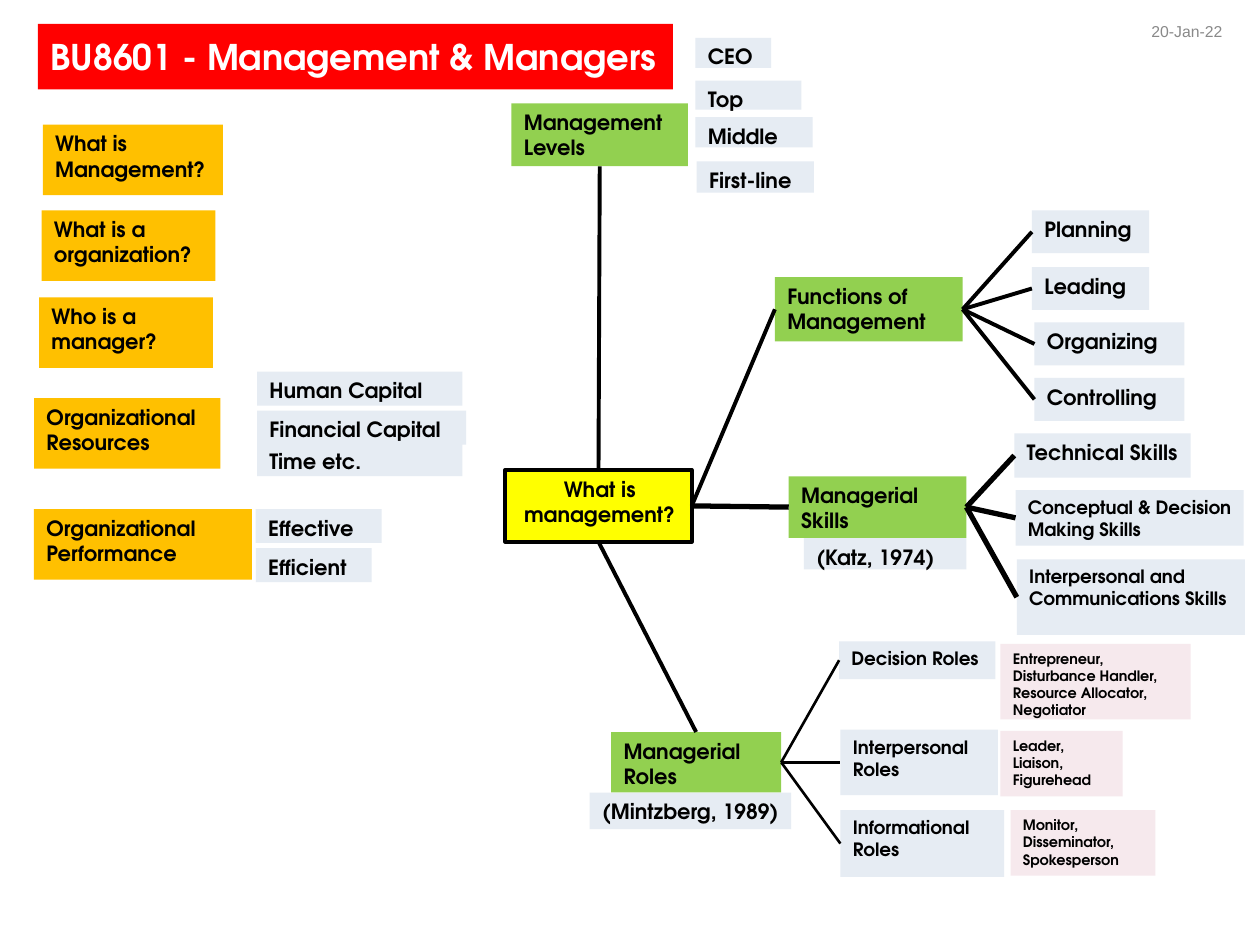
from lxml import etree
from pptx import Presentation
from pptx import util as u
from pptx.dml.color import RGBColor
from pptx.enum import shapes, text
from pptx.oxml.ns import qn

HUES = {"red": "FF0000", "gold": "FFC000", "green": "92D050", "blue": "E6ECF3",
        "pink": "F6E9ED", "yellow": "FFFF00", "black": "000000",
        "white": "FFFFFF", "gray": "898989"}
FACE = "TeX Gyre Adventor"

deck = Presentation()
deck.slide_width, deck.slide_height = u.Inches(10), u.Inches(7.5)
CELL = deck.slide_width / 10  # the grid has 10 columns and 7.5 rows
slide = deck.slides.add_slide(deck.slide_layouts[5])


def write(words, at, shape=None, fill=None, edge=None, size=12, face=FACE,
          hue="black", bold=True, align="LEFT", gap=0, anchor="TOP"):
    """Put formatted words in a shape (a new rectangle by default) at a grid place."""
    place = [u.Emu(round(n * CELL)) for n in at]
    if shape is None:
        shape = slide.shapes.add_shape(shapes.MSO_SHAPE.RECTANGLE, *place)
        shape.shadow.inherit = False
    shape.left, shape.top, shape.width, shape.height = place
    if fill:
        shape.fill.solid()
        shape.fill.fore_color.rgb = RGBColor.from_string(HUES[fill])
    else:
        shape.fill.background()
    if edge:
        shape.line.color.rgb = RGBColor.from_string(HUES["black"])
        shape.line.width = u.Pt(edge)
    else:
        shape.line.fill.background()
    frame = shape.text_frame
    frame.text = words
    frame.word_wrap = True
    frame.auto_size = text.MSO_AUTO_SIZE.NONE
    frame.vertical_anchor = getattr(text.MSO_ANCHOR, anchor)
    frame.margin_left, frame.margin_right = u.Inches(0.1), u.Inches(0.08)
    frame.margin_top = frame.margin_bottom = u.Inches(0.05)
    para = frame.paragraphs[0]
    para.alignment = getattr(text.PP_ALIGN, align)
    para.space_before = para.space_after = u.Pt(gap)
    font = para.runs[0].font
    font.name, font.size, font.bold = face, u.Pt(size), bold
    font.color.rgb = RGBColor.from_string(HUES[hue])
    return shape


def link(start, end, width, sides=(3, 1)):
    """Join two boxes; sides are 0 top, 1 left, 2 bottom, 3 right."""
    line = slide.shapes.add_connector(shapes.MSO_CONNECTOR.STRAIGHT, 0, 0, 0, 0)
    line.begin_connect(start, sides[0])
    line.end_connect(end, sides[1])
    line.line.color.rgb = RGBColor.from_string(HUES["black"])
    line.line.width = u.Pt(width)
    etree.SubElement(line._element.spPr, qn("a:effectLst"))


write("BU8601 - Management & Managers", (0.3, 0.19, 5.04, 0.52),
      shape=slide.shapes.title, fill="red", size=20.2, hue="white", anchor="MIDDLE")
write("20-Jan-22", (9.04, 0.09, 0.81, 0.31), shape=slide.shapes.add_textbox(0, 0, 0, 0),
      size=9, face="Arial", hue="gray", bold=False, anchor="MIDDLE")

# Questions and topics on the left
for words, left, top, width in [
        ("What is Management?", 0.34, 0.99, 1.43),
        ("What is a organization?", 0.33, 1.67, 1.38),
        ("Who is a manager?", 0.31, 2.36, 1.38),
        ("Organizational Resources", 0.27, 3.16, 1.48),
        ("Organizational Performance", 0.27, 4.04, 1.73)]:
    write(words, (left, top, width, 0.56), fill="gold", gap=6)

# Labels without lines
for words, *at in [
        ("CEO", 5.52, 0.3, 0.6, 0.24),
        ("Top", 5.52, 0.64, 0.84, 0.23),
        ("Middle", 5.52, 0.93, 0.93, 0.24),
        ("First-line", 5.53, 1.28, 0.93, 0.25),
        ("Human Capital", 2.04, 2.95, 1.63, 0.27),
        ("Financial Capital", 2.04, 3.26, 1.66, 0.27),
        ("Time etc.", 2.04, 3.51, 1.63, 0.27),
        ("Effective", 2.03, 4.04, 1, 0.27),
        ("Efficient", 2.03, 4.35, 0.92, 0.27),
        ("(Katz, 1974)", 6.38, 4.27, 1.29, 0.25),
        ("(Mintzberg, 1989)", 4.68, 6.29, 1.6, 0.29)]:
    write(words, at, fill="blue")

# Examples of each role
for words, *at in [
        ("Entrepreneur, Disturbance Handler, Resource Allocator, Negotiator",
         7.94, 5.11, 1.51, 0.6),
        ("Leader, Liaison, Figurehead", 7.94, 5.8, 0.97, 0.52),
        ("Monitor, Disseminator, Spokesperson", 8.02, 6.43, 1.15, 0.52)]:
    write(words, at, fill="pink", size=8.2)

# Mind map: hub, branches and their leaves
hub = write("What is management?", (4.01, 3.73, 1.48, 0.57), fill="yellow",
            edge=2.25, align="CENTER", gap=6)
# words, place, hub line width, joined sides, leaf line width, leaves
tree = [
    ("Management Levels", (4.06, 0.82, 1.4, 0.5), 2.25, (0, 2), 0, []),
    ("Functions of Management", (6.15, 2.2, 1.49, 0.51), 2.25, (3, 1), 2.25, [
        ("Planning", 12, 8.19, 1.67, 0.93, 0.34),
        ("Leading", 12, 8.19, 2.12, 0.93, 0.34),
        ("Organizing", 12, 8.21, 2.56, 1.19, 0.34),
        ("Controlling", 12, 8.21, 3, 1.19, 0.34)]),
    ("Managerial Skills", (6.26, 3.78, 1.41, 0.49), 3, (3, 1), 3, [
        ("Technical Skills", 12, 8.05, 3.44, 1.4, 0.35),
        ("Conceptual & Decision Making Skills", 10.5, 8.06, 3.89, 1.81, 0.44),
        ("Interpersonal and Communications Skills", 10.5, 8.07, 4.44, 1.81, 0.6)]),
    ("Managerial Roles", (4.85, 5.81, 1.35, 0.48), 2.25, (2, 0), 1.5, [
        ("Decision Roles", 10.5, 6.66, 5.09, 1.24, 0.3),
        ("Interpersonal Roles", 10.5, 6.67, 5.79, 1.25, 0.52),
        ("Informational Roles", 10.5, 6.67, 6.43, 1.3, 0.53)]),
]
for words, at, thick, sides, thin, leaves in tree:
    branch = write(words, at, fill="green")
    link(hub, branch, thick, sides)
    for label, size, *spot in leaves:
        link(branch, write(label, spot, fill="blue", size=size), thin)

deck.save("out.pptx")
